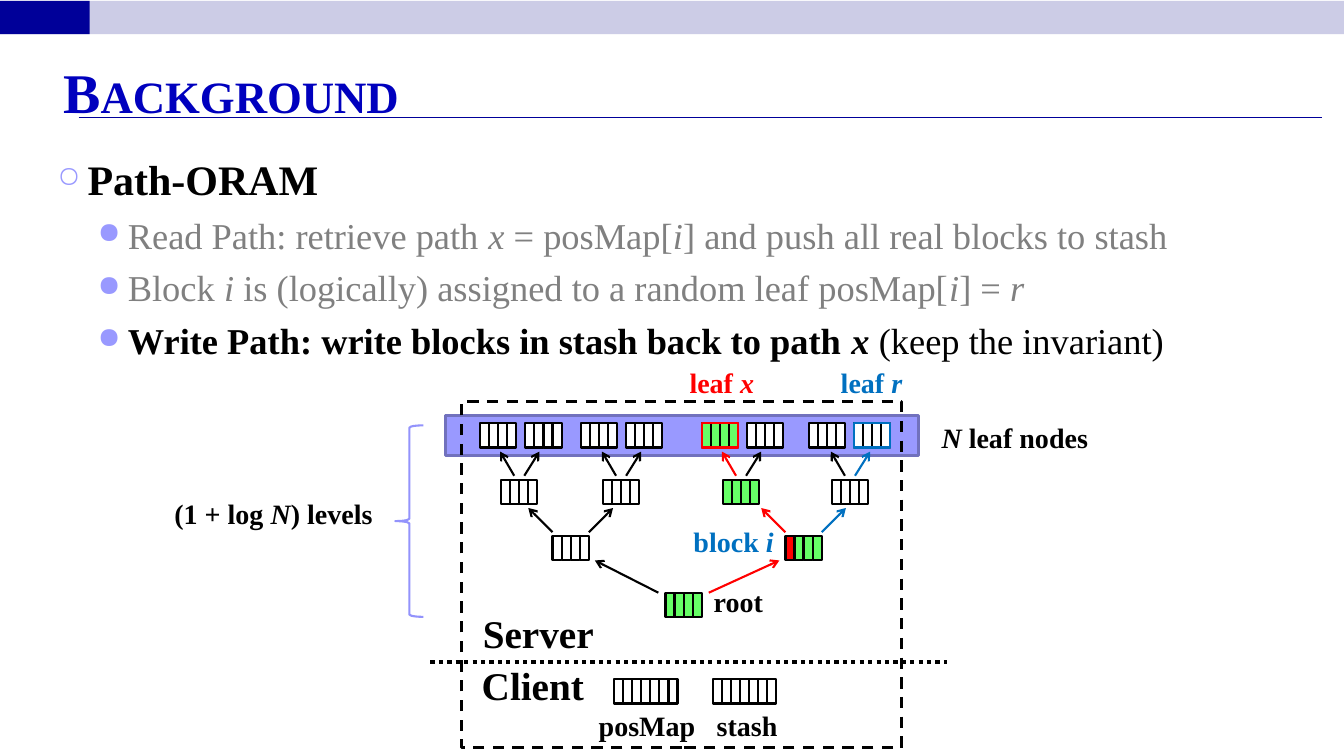
from dataclasses import dataclass

from lxml import etree
from pptx import Presentation
from pptx.dml import color
from pptx.enum import dml, shapes, text
from pptx.oxml import ns
from pptx.util import Inches, Pt


@dataclass(frozen=True)
class Theme:
    font: str = "Times New Roman"
    title_size: int = 40
    heading_size: int = 30
    bullet_size: int = 26
    zone_size: int = 28
    label_size: int = 20
    black: str = "000000"
    white: str = "FFFFFF"
    gray: str = "808080"
    navy: str = "000099"
    title: str = "0000BE"
    pale: str = "CCCCE6"
    lilac: str = "9999FF"
    lilac_edge: str = "7171BD"
    brace: str = "9393FC"
    green: str = "66FF66"
    red: str = "FF0000"
    blue: str = "0070C0"


@dataclass(frozen=True)
class Box:
    left: float
    top: float
    width: float
    height: float

    def inside(self, left, top, width, height):
        return Box(self.left + left, self.top + top, width, height)

    def lengths(self):
        return [Inches(side) for side in (self.left, self.top, self.width, self.height)]


THEME = Theme()
RECT = shapes.MSO_SHAPE.RECTANGLE
CELL_PITCH = 0.09
CELL_HEIGHT = 0.24
NODE_WIDTH = 4 * CELL_PITCH
LEAF_TOP = 0.22
LEVEL_STEP = 0.56
TREE_LEVELS = [
    [0.18, 0.63, 1.18, 1.63, 2.38, 2.83, 3.44, 3.89],
    [0.39, 1.4, 2.59, 3.67],
    [0.9, 3.21],
    [2.02],
]
PATH_X = [4, 2, 1, 0]
PATH_R = [7, 3, None, None]
ARROWS = {
    1: (0.05, (-0.19, 0.2), 0.04),
    2: (0.18, (-0.42, 0.42), 0.04),
    3: (0.25, (-0.88, 0.95), 0),
}


def rgb(value):
    return color.RGBColor.from_string(value)


def add_block(slide, box, fill=None, line=None, width=1.5, dash=None, kind=RECT):
    shape = slide.shapes.add_shape(kind, *box.lengths())
    shape.shadow.inherit = False
    if fill:
        shape.fill.solid()
        shape.fill.fore_color.rgb = rgb(fill)
    else:
        shape.fill.background()
    if line:
        shape.line.color.rgb = rgb(line)
        shape.line.width = Pt(width)
        if dash:
            shape.line.dash_style = dash
    else:
        shape.line.fill.background()
    return shape


def add_line(slide, start, end, line, width, dash=None, arrow=False):
    points = [Inches(value) for value in (*start, *end)]
    connector = slide.shapes.add_connector(shapes.MSO_CONNECTOR.STRAIGHT, *points)
    connector.line.color.rgb = rgb(line)
    connector.line.width = Pt(width)
    if dash:
        connector.line.dash_style = dash
    if arrow:
        tail = etree.SubElement(connector.line._get_or_add_ln(), ns.qn("a:tailEnd"))
        tail.set("type", "arrow")
    etree.SubElement(connector._element.spPr, ns.qn("a:effectLst"))


def write(paragraph, runs, size, ink):
    paragraph.font.name = THEME.font
    paragraph.font.size = Pt(size)
    paragraph.font.color.rgb = rgb(ink)
    for words, style in runs:
        run = paragraph.add_run()
        run.text = words
        run.font.name = THEME.font
        run.font.size = Pt(size)
        run.font.color.rgb = rgb(ink)
        run.font.bold = "b" in style
        run.font.italic = "i" in style


def add_label(slide, box, runs, size=THEME.label_size, ink=THEME.black):
    shape = slide.shapes.add_textbox(*box.lengths())
    shape.text_frame.word_wrap = False
    shape.text_frame.auto_size = text.MSO_AUTO_SIZE.SHAPE_TO_FIT_TEXT
    write(shape.text_frame.paragraphs[0], runs, size, ink)


def add_bullet(paragraph, symbol, percent, margin):
    properties = paragraph._p.get_or_add_pPr()
    properties.set("marL", str(Inches(margin)))
    properties.set("indent", str(Inches(-0.3)))
    bullet_color = etree.SubElement(properties, ns.qn("a:buClr"))
    etree.SubElement(bullet_color, ns.qn("a:srgbClr")).set("val", THEME.lilac)
    etree.SubElement(properties, ns.qn("a:buSzPct")).set("val", str(percent * 1000))
    etree.SubElement(properties, ns.qn("a:buChar")).set("char", symbol)


def add_header(slide, box):
    add_block(slide, box.inside(0, 0.01, box.width, 0.33), THEME.pale)
    add_block(slide, box.inside(0, 0.01, 0.89, 0.33), THEME.navy)
    rule = box.top + 1.17
    add_line(slide, (box.left + 0.78, rule), (box.left + 13.11, rule), THEME.navy, 0.75)
    shape = slide.shapes.add_textbox(*box.inside(0.53, 0.52, 12.25, 0.74).lengths())
    shape.text_frame.word_wrap = True
    paragraph = shape.text_frame.paragraphs[0]
    write(paragraph, [("Background", "b")], THEME.title_size, THEME.title)
    paragraph.runs[0].font._element.set("cap", "small")


def add_body(slide, box):
    steps = [
        (THEME.gray, [("Read Path: retrieve path ", ""), ("x", "i"), (" = posMap[", ""), ("i", "i"),
                      ("] and push all real blocks to stash", "")]),
        (THEME.gray, [("Block ", ""), ("i", "i"), (" is (logically) assigned to a random leaf posMap[", ""),
                      ("i", "i"), ("] = ", ""), ("r", "i")]),
        (THEME.black, [("Write Path: write blocks in stash back to path ", "b"), ("x ", "bi"),
                       ("(keep the invariant)", "")]),
    ]
    frame = slide.shapes.add_textbox(*box.lengths()).text_frame
    frame.word_wrap = True
    heading = frame.paragraphs[0]
    heading.space_before = Pt(6)
    add_bullet(heading, "○", 70, 0.3)
    write(heading, [("Path-ORAM", "b")], THEME.heading_size, THEME.black)
    for ink, runs in steps:
        paragraph = frame.add_paragraph()
        paragraph.level = 1
        paragraph.space_before = Pt(6.5)
        add_bullet(paragraph, "●", 80, 0.7)
        write(paragraph, runs, THEME.bullet_size, ink)


def add_cells(slide, box, left, top, fills):
    for index, fill in enumerate(fills):
        cell = box.inside(left + index * CELL_PITCH, top, CELL_PITCH, CELL_HEIGHT)
        add_block(slide, cell, fill, THEME.black)


def add_tree(slide, box):
    add_block(slide, box.inside(-0.16, 0.14, 4.69, 0.4), THEME.lilac, THEME.lilac_edge, 2)
    for level, lefts in enumerate(TREE_LEVELS):
        top = LEAF_TOP + level * LEVEL_STEP
        for index, left in enumerate(lefts):
            fills = [THEME.green if index == PATH_X[level] else THEME.white] * 4
            if (level, index) == (2, 1):
                fills[0] = THEME.red
            add_cells(slide, box, left, top, fills)
            if level:
                add_branches(slide, box, level, index, left + NODE_WIDTH / 2, top)
    for index, ink in ((PATH_X[0], THEME.red), (PATH_R[0], THEME.blue)):
        add_block(slide, box.inside(TREE_LEVELS[0][index], LEAF_TOP, NODE_WIDTH, CELL_HEIGHT), line=ink)


def add_branches(slide, box, level, index, center, top):
    spread, ends, gap = ARROWS[level]
    for side, end in enumerate(ends):
        child = 2 * index + side
        ink = {PATH_X[level - 1]: THEME.red, PATH_R[level - 1]: THEME.blue}.get(child, THEME.black)
        start_x = box.left + center + (spread if side else -spread)
        start = (start_x, box.top + top - gap)
        finish = (box.left + center + end, box.top + top - LEVEL_STEP + CELL_HEIGHT + gap)
        add_line(slide, start, finish, ink, 1.5, arrow=True)


def add_storage(slide, box):
    add_label(slide, box.inside(0.11, 2.02, 1.31, 0.57), [("Server", "b")], THEME.zone_size)
    add_label(slide, box.inside(0.1, 2.53, 1.23, 0.57), [("Client", "b")], THEME.zone_size)
    add_tree(slide, box)
    add_block(slide, box, line=THEME.black, width=2, dash=dml.MSO_LINE.DASH)
    divider = box.top + 2.59
    add_line(slide, (box.left - 0.31, divider), (box.left + 4.81, divider), THEME.black, 3,
             dml.MSO_LINE.ROUND_DOT)
    for left in (1.51, 2.49):
        add_cells(slide, box, left, 2.76, [THEME.white] * 7)
    add_block(slide, box.inside(-0.66, 0.24, 0.28, 1.9), line=THEME.brace, kind=shapes.MSO_SHAPE.LEFT_BRACE)
    labels = [
        (1.26, 3, 1.17, THEME.black, [("posMap", "b")]),
        (2.43, 3, 0.81, THEME.black, [("stash", "b")]),
        (4.66, 0.14, 1.67, THEME.black, [("N", "bi"), (" leaf nodes", "b")]),
        (-2.95, 0.9, 2.18, THEME.black, [("(1 + log ", "b"), ("N", "bi"), (") levels", "b")]),
        (2.4, 1.77, 0.69, THEME.black, [("root", "b")]),
        (2.2, 1.17, 1, THEME.blue, [("block ", "b"), ("i", "bi")]),
        (2.16, -0.4, 0.85, THEME.red, [("leaf", "b"), (" x", "bi")]),
        (3.66, -0.4, 0.82, THEME.blue, [("leaf", "b"), (" r", "bi")]),
    ]
    for left, top, width, ink, runs in labels:
        add_label(slide, box.inside(left, top, width, 0.44), runs, ink=ink)


def main():
    presentation = Presentation()
    presentation.slide_width = Inches(13.33)
    presentation.slide_height = Inches(7.5)
    slide = presentation.slides.add_slide(presentation.slide_layouts[6])
    add_header(slide, Box(0, 0, 13.33, 1.26))
    add_body(slide, Box(0.47, 1.47, 12.53, 5.48))
    add_storage(slide, Box(4.58, 3.98, 4.36, 3.44))
    presentation.save("out.pptx")


if __name__ == "__main__":
    main()
